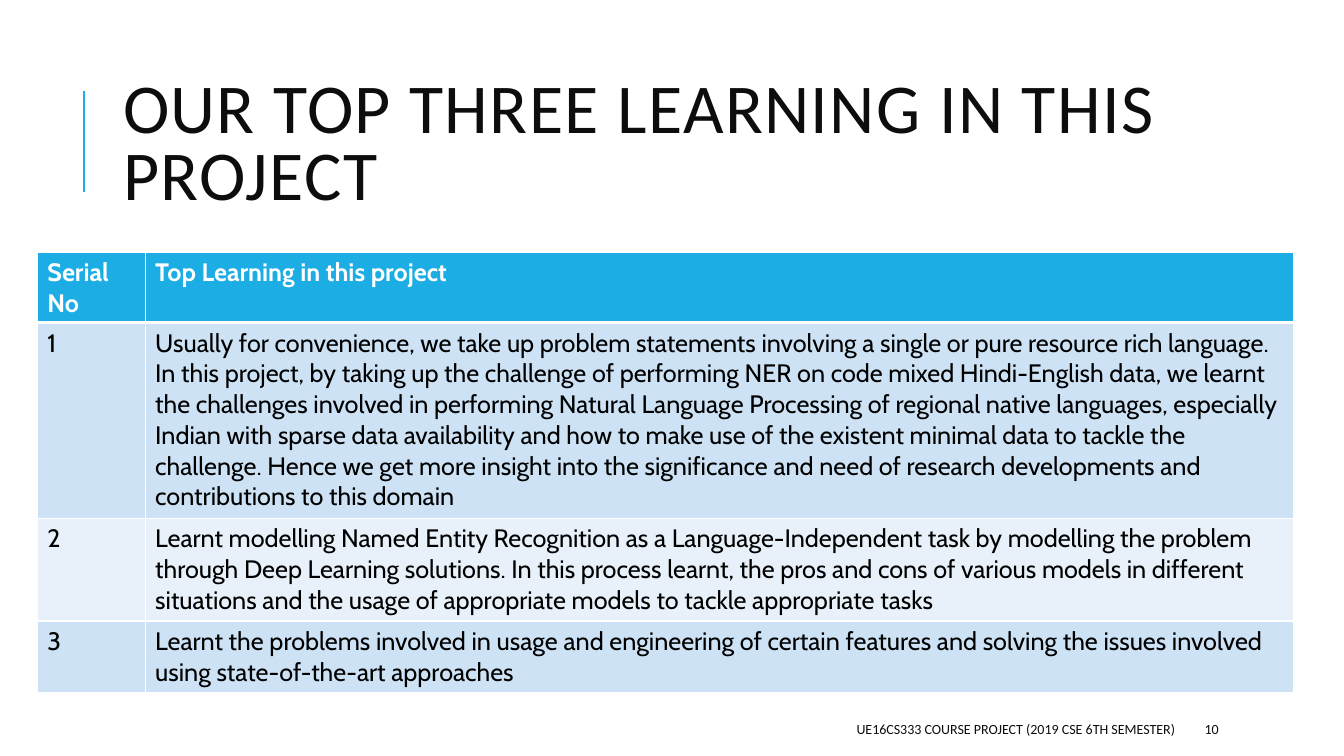
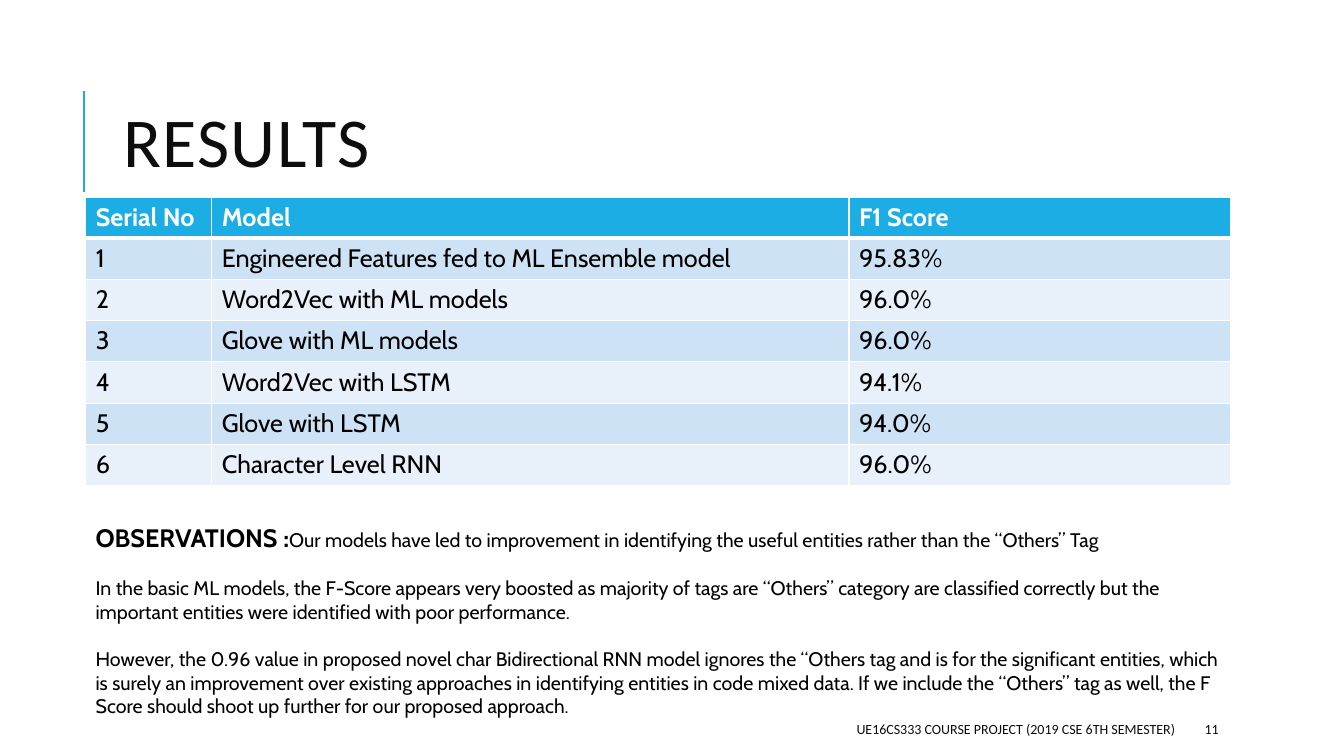
from lxml import etree
from pptx import Presentation
from pptx.dml.color import RGBColor
from pptx.enum.shapes import MSO_CONNECTOR
from pptx.enum.text import MSO_ANCHOR, MSO_AUTO_SIZE, PP_ALIGN
from pptx.oxml.ns import qn
from pptx.util import Inches, Pt

LINE = MSO_CONNECTOR.STRAIGHT
MIDDLE = MSO_ANCHOR.MIDDLE
LEFT, RIGHT = PP_ALIGN.LEFT, PP_ALIGN.RIGHT

# Shared style
WIDE, HIGH = 13.33, 7.5
HEAD, BODY = "Calibri", "Cabin"
BLUE, INK, BLACK, WHITE = "1CADE4", "0D0D0D", "000000", "FFFFFF"
BANDS = "CDE3F5", "E8F1FA"
FOOT = "UE16CS333 COURSE PROJECT (2019 CSE 6TH SEMESTER)"
FIRST = 10

# Content
SLIDES = [
    {
        "title": "OUR TOP THREE LEARNING IN THIS PROJECT",
        "at": (0.37, 2.5),
        "cols": (1.07, 11.39),
        "high": (0.7, 1.94, 1.02, 0.71),
        "rows": [
            ("Serial\nNo", "Top Learning in this project"),
            ("1", "Usually for convenience, we take up problem statements involving a "
             "single or pure resource rich language. In this project, by taking up the "
             "challenge of performing NER on code mixed Hindi-English data, we learnt the "
             "challenges involved in performing Natural Language Processing of regional "
             "native languages, especially Indian with sparse data availability and how to "
             "make use of the existent minimal data to tackle the challenge. Hence we get "
             "more insight into the significance and need of research developments and "
             "contributions to this domain"),
            ("2", "Learnt modelling Named Entity Recognition as a Language-Independent task "
             "by modelling the problem through Deep Learning solutions. In this process "
             "learnt, the pros and cons of various models in different situations and the "
             "usage of appropriate models to tackle appropriate tasks"),
            ("3", "Learnt the problems involved in usage and engineering of certain features "
             "and solving the issues involved using state-of-the-art approaches"),
        ],
    },
    {
        "title": "RESULTS",
        "at": (0.85, 1.96),
        "cols": (1.25, 6.32, 3.79),
        "high": (0.4,) + (0.41,) * 6,
        "rows": [
            ("Serial No", "Model", "F1 Score"),
            ("1", "Engineered Features fed to ML Ensemble model", "95.83%"),
            ("2", "Word2Vec with ML models", "96.0%"),
            ("3", "Glove with ML models", "96.0%"),
            ("4", "Word2Vec with LSTM", "94.1%"),
            ("5", "Glove with LSTM", "94.0%"),
            ("6", "Character Level RNN", "96.0%"),
        ],
        "lead": "OBSERVATIONS :",
        "notes": [
            "Our models have led to improvement in identifying the useful entities rather "
            "than the “Others” Tag",
            "In the basic ML models, the F-Score appears very boosted as majority of tags are "
            "“Others” category are classified correctly but the important entities were "
            "identified with poor performance.",
            "However, the 0.96 value in proposed novel char Bidirectional RNN model ignores "
            "the “Others tag and is for the significant entities, which is surely an "
            "improvement over existing approaches in identifying entities in code mixed data. "
            "If we include the “Others” tag as well, the F Score should shoot up further for "
            "our proposed approach.",
        ],
    },
]


def paint(hue):
    return RGBColor.from_string(hue)


def style(frame, face, size, hue, bold=False):
    for para in frame.paragraphs:
        for run in para.runs:
            font = run.font
            font.name, font.size, font.bold = face, Pt(size), bold
            font.color.rgb = paint(hue)


def place(shape, *spot):
    shape.left, shape.top, shape.width, shape.height = map(Inches, spot)


def add_box(slide, *spot):
    frame = slide.shapes.add_textbox(*map(Inches, spot)).text_frame
    frame.word_wrap = True
    return frame


# Title, side rule and footer
def add_title(slide, text):
    title = slide.shapes.title
    place(title, 1.12, 0.64, 10.63, 1.64)
    frame = title.text_frame
    frame.text = text
    frame.word_wrap, frame.auto_size = True, MSO_AUTO_SIZE.NONE
    frame.vertical_anchor = MIDDLE
    para = frame.paragraphs[0]
    para.alignment, para.line_spacing = LEFT, 0.8
    style(frame, HEAD, 50, INK)
    para.runs[0].font._element.set("spc", "100")


def add_rule(slide):
    rule = slide.shapes.add_connector(
        LINE, *map(Inches, (0.83, 1.9, 0.83, 0.9)))
    rule.line.color.rgb, rule.line.width = paint(BLUE), Pt(1.5)
    etree.SubElement(rule._element.spPr, qn("a:effectLst"))


def add_foot(slide, page):
    for text, left, wide, side in ((FOOT, 5.3, 6.45, RIGHT),
                                   (str(page), 11.85, 1.06, LEFT)):
        frame = add_box(slide, left, 7.08, wide, 0.3)
        frame.text, frame.vertical_anchor = text, MIDDLE
        frame.paragraphs[0].alignment = side
        style(frame, HEAD, 10, INK)


# Table with white cell borders
def edge(cell, top, low):
    props = cell._tc.get_or_add_tcPr()
    for side, wide in zip("LRTB", (1, 1, top, low)):
        line = etree.SubElement(props, qn("a:ln" + side), w=str(Pt(wide)))
        fill = etree.SubElement(line, qn("a:solidFill"))
        etree.SubElement(fill, qn("a:srgbClr"), val=WHITE)


def add_grid(slide, at, cols, high, rows):
    size = sum(cols), sum(high)
    table = slide.shapes.add_table(
        len(rows), len(cols), *map(Inches, at + size)).table
    table.horz_banding = False
    for col, wide in zip(table.columns, cols):
        col.width = Inches(wide)
    for r, texts in enumerate(rows):
        table.rows[r].height = Inches(high[r])
        top = r == 0
        for c, text in enumerate(texts):
            cell = table.cell(r, c)
            edge(cell, 3 if r == 1 else 1, 3 if top else 1)
            cell.fill.solid()
            cell.fill.fore_color.rgb = paint(BLUE if top else BANDS[(r - 1) % 2])
            cell.text_frame.text = text
            style(cell.text_frame, BODY, 18, WHITE if top else BLACK, top)


# Observations below the table
def add_notes(slide, lead, notes):
    frame = add_box(slide, 0.85, 5.13, 11.36, 2.05)
    frame.text = "\n".join(notes)
    for para in frame.paragraphs[1:]:
        para.space_before = Pt(17)
    first = frame.paragraphs[0]
    first.text = lead
    first.add_run().text = notes[0]
    style(frame, BODY, 14, BLACK)
    font = first.runs[0].font
    font.size, font.bold = Pt(18), True


def main():
    deck = Presentation()
    deck.slide_width, deck.slide_height = Inches(WIDE), Inches(HIGH)
    for page, data in enumerate(SLIDES, FIRST):
        slide = deck.slides.add_slide(deck.slide_layouts[5])
        add_rule(slide)
        add_title(slide, data["title"])
        add_foot(slide, page)
        add_grid(slide, data["at"], data["cols"], data["high"], data["rows"])
        if "notes" in data:
            add_notes(slide, data["lead"], data["notes"])
    deck.save("out.pptx")


if __name__ == "__main__":
    main()
